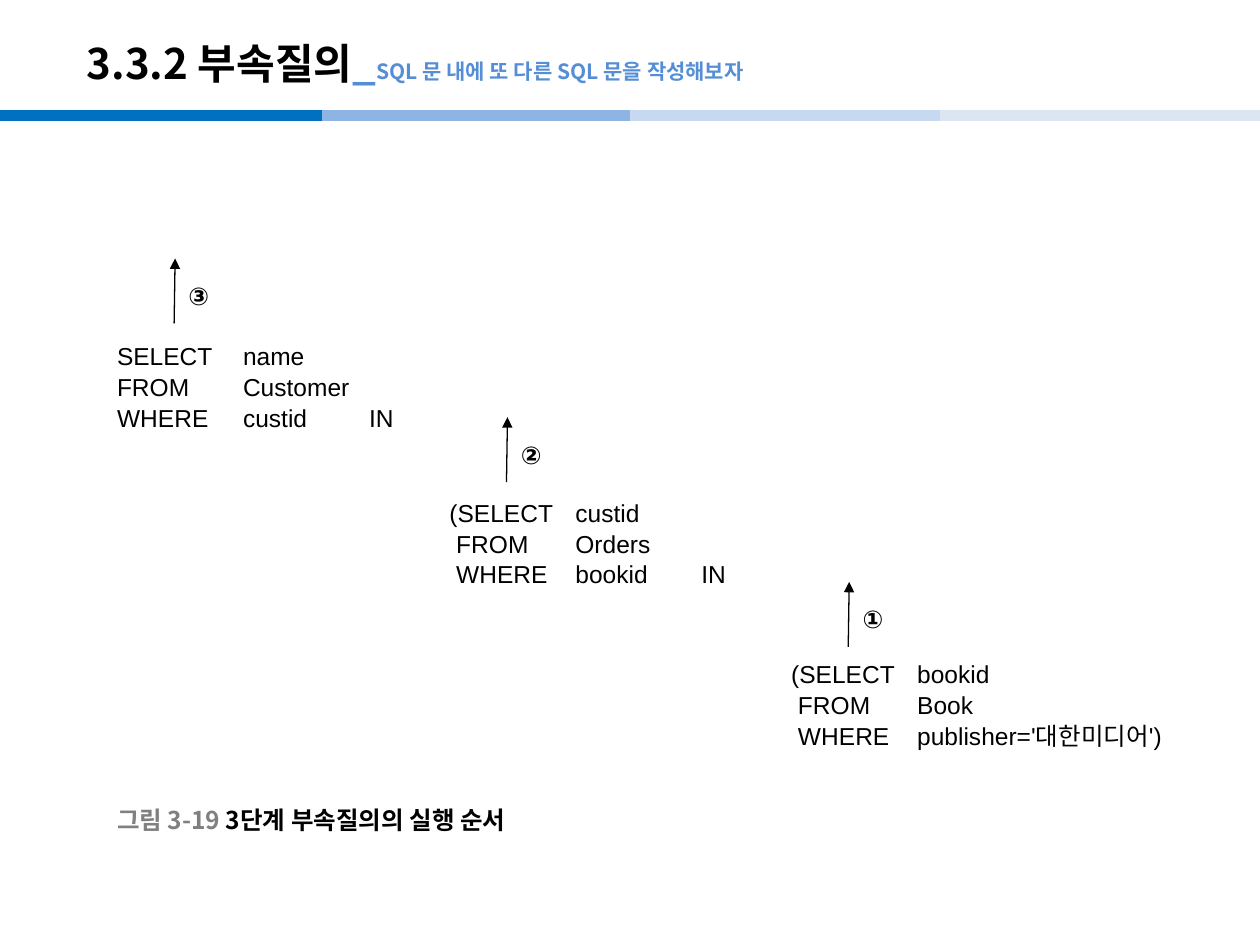
"""Build a slide showing the execution order of a three-level SQL subquery."""
from itertools import pairwise

from lxml.etree import SubElement
from pptx import Presentation
from pptx.dml.color import RGBColor
from pptx.enum.shapes import MSO_CONNECTOR as Connector
from pptx.enum.text import MSO_ANCHOR as Anchor
from pptx.oxml.ns import qn
from pptx.util import Cm, Pt

COLORS = {
    "black": "000000", "gray": "808080", "accent": "558ED5",
    "band1": "0070C0", "band2": "8EB4E3", "band3": "C6D9F1", "band4": "DCE6F2",
}
KOREAN = "Noto Sans CJK KR"
TITLE = [
    ("3.3.2 부속질의", 24, "black"),
    ("_", 24, "accent"),
    ("SQL 문 내에 또 다른 SQL 문을 작성해보자", 12, "accent"),
]
CAPTION = [("그림 3-19 ", 14, "gray"), ("3단계 부속질의의 실행 순서", 14, "black")]
STEPS = [
    {"number": "③", "left": 2.11, "top": 6.73, "arrow_top": 5.21,
     "code": ["SELECT\tname", "FROM\tCustomer", "WHERE\tcustid \tIN"]},
    {"number": "②", "left": 8.81, "top": 9.88, "arrow_top": 8.41,
     "code": ["(SELECT \tcustid", " FROM\tOrders", " WHERE\tbookid \tIN"]},
    {"number": "①", "left": 15.7, "top": 13.13, "arrow_top": 11.73,
     "code": ["(SELECT \tbookid", " FROM\tBook", " WHERE\tpublisher='대한미디어')"]},
]
BAND_EDGES = [0, 6.5, 12.7, 18.95, 25.4]
BAND_Y = 2.33
TAB_STOPS = [2.54, 5.08]
ARROW_OFFSET, ARROW_LENGTH = 1.42, 1.31


def add_box(page, left, top, width, height, anchor=Anchor.TOP):
    box = page.shapes.add_textbox(Cm(left), Cm(top), Cm(width), Cm(height))
    frame = box.text_frame
    frame.word_wrap = True
    frame.vertical_anchor = anchor
    return frame


def add_span(para, text, size=14, color="black", name="Arial", bold=False):
    span = para.add_run()
    span.text = text
    for key, value in {"name": name, "size": Pt(size), "bold": bold}.items():
        setattr(span.font, key, value)
    span.font.color.rgb = RGBColor.from_string(COLORS[color])
    if name == KOREAN:
        SubElement(span.font._element, qn("a:ea"), typeface=name)


def add_heading(page, spans, *place):
    para = add_box(page, *place, anchor=Anchor.MIDDLE).paragraphs[0]
    for text, size, color in spans:
        add_span(para, text, size, color, KOREAN, True)


def add_line(page, start, end, color, width, arrow=False):
    line = page.shapes.add_connector(
        Connector.STRAIGHT, *(Cm(value) for value in (*start, *end)))
    line.line.color.rgb = RGBColor.from_string(COLORS[color])
    line.line.width = Pt(width)
    if arrow:
        SubElement(line.line._get_or_add_ln(), qn("a:tailEnd"), type="triangle")
    SubElement(line._element.spPr, qn("a:effectLst"))


def add_code(page, step):
    frame = add_box(page, step["left"], step["top"], 9.4, 2.06)
    for index, text in enumerate(step["code"]):
        para = frame.add_paragraph() if index else frame.paragraphs[0]
        para.line_spacing = 1.05
        tabs = SubElement(para._p.get_or_add_pPr(), qn("a:tabLst"))
        for stop in TAB_STOPS:
            SubElement(tabs, qn("a:tab"), pos=str(Cm(stop)), algn="l")
        add_span(para, text)


def add_step(page, step):
    add_code(page, step)
    x, y = step["left"] + ARROW_OFFSET, step["arrow_top"]
    add_line(page, (x - 0.02, y + ARROW_LENGTH), (x, y), "black", 0.75, arrow=True)
    label = add_box(page, x + 0.02, y + 0.33, 1, 0.86)
    add_span(label.paragraphs[0], step["number"], bold=True)


def main():
    deck = Presentation()
    deck.slide_width, deck.slide_height = Cm(25.4), Cm(19.05)
    page = deck.slides.add_slide(deck.slide_layouts[6])
    for index, (left, right) in enumerate(pairwise(BAND_EDGES), 1):
        add_line(page, (left, BAND_Y), (right, BAND_Y), f"band{index}", 6)
    add_heading(page, TITLE, 1.5, 0.51, 21, 1.52)
    for step in STEPS:
        add_step(page, step)
    add_heading(page, CAPTION, 2.11, 16.13, 10, 0.79)
    deck.save("out.pptx")


if __name__ == "__main__":
    main()
